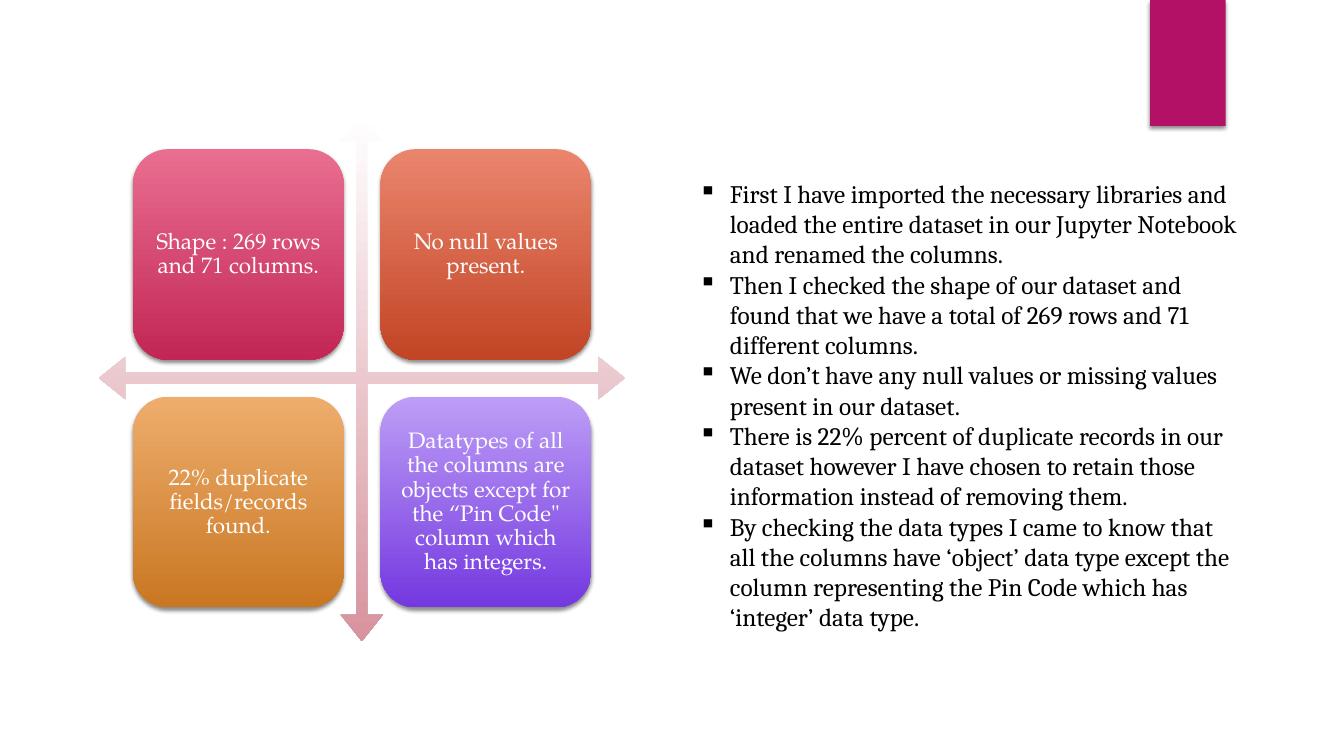
from dataclasses import dataclass

from lxml import etree
from pptx import Presentation
from pptx import util as u
from pptx.dml.color import RGBColor
from pptx.enum import shapes, text
from pptx.oxml.ns import qn


@dataclass(frozen=True)
class Theme:
    accent: str = "B31166"
    arrow: tuple = ("FFFFFF", "D7939E")
    tile_text: str = "FFFFFF"
    body_text: str = "000000"
    shadow: str = "000000"
    tile_font: str = "TeX Gyre Pagella"
    body_font: str = "Cambria"
    tile_size: int = 16
    body_size: int = 18


TILES = [
    [("Shape : 269 rows and 71 columns.", ("E96E90", "C22655")),
     ("No null values present.", ("EA856D", "C24525"))],
    [("22% duplicate fields/records found.", ("EEAD6D", "C97721")),
     ("Datatypes of all the columns are objects except for the “Pin Code\" "
      "column which has integers.", ("BD9EF6", "7438E0"))],
]

FINDINGS = [
    "First I have imported the necessary libraries and loaded the entire dataset "
    "in our Jupyter Notebook and renamed the columns.",
    "Then I checked the shape of our dataset and found that we have a total of "
    "269 rows and 71 different columns.",
    "We don’t have any null values or missing values present in our dataset.",
    "There is 22% percent of duplicate records in our dataset however I have "
    "chosen to retain those information instead of removing them.",
    "By checking the data types I came to know that all the columns have ‘object’ "
    "data type except the column representing the Pin Code which has ‘integer’ "
    "data type.",
]


class SlideBuilder:
    """Draws themed elements on a slide grid of 80 columns by 45 rows."""

    def __init__(self, presentation, theme):
        self.theme = theme
        self.slide = presentation.slides.add_slide(presentation.slide_layouts[6])
        self.column = presentation.slide_width / 80
        self.row = presentation.slide_height / 45

    def place(self, left, top, width, height):
        return (round(left * self.column), round(top * self.row),
                round(width * self.column), round(height * self.row))

    def shape(self, kind, box, colors, shadow=True):
        shape = self.slide.shapes.add_shape(kind, *self.place(*box))
        if len(colors) == 1:
            shape.fill.solid()
            shape.fill.fore_color.rgb = RGBColor.from_string(colors[0])
        else:
            shape.fill.gradient()
            shape.fill.gradient_angle = 270
            for stop, color in zip(shape.fill.gradient_stops, colors):
                stop.color.rgb = RGBColor.from_string(color)
        shape.line.fill.background()
        shape.shadow.inherit = False
        if shadow:
            self.add_shadow(shape)
        return shape

    def add_shadow(self, shape):
        effects = shape.element.spPr.find(qn("a:effectLst"))
        outer = etree.SubElement(
            effects, qn("a:outerShdw"), blurRad=str(u.Pt(3)), dist=str(u.Pt(2)),
            dir="5400000", rotWithShape="0")
        color = etree.SubElement(outer, qn("a:srgbClr"), val=self.theme.shadow)
        etree.SubElement(color, qn("a:alpha"), val="45000")

    def run(self, paragraph, words, font, size, color):
        run = paragraph.add_run()
        run.text = words
        run.font.name = font
        run.font.size = u.Pt(size)
        run.font.color.rgb = RGBColor.from_string(color)

    def cross_arrow(self, box):
        arrow = self.shape(shapes.MSO_SHAPE.QUAD_ARROW, box, self.theme.arrow,
                           shadow=False)
        for index, share in enumerate((0.02, 0.04, 0.05)):
            arrow.adjustments[index] = share

    def tile(self, box, words, colors):
        frame = self.shape(shapes.MSO_SHAPE.ROUNDED_RECTANGLE, box, colors).text_frame
        frame.word_wrap = True
        frame.vertical_anchor = text.MSO_ANCHOR.MIDDLE
        inset = round(0.42 * self.column)
        frame.margin_left = frame.margin_right = inset
        frame.margin_top = frame.margin_bottom = inset
        paragraph = frame.paragraphs[0]
        paragraph.alignment = text.PP_ALIGN.CENTER
        paragraph.line_spacing = 0.9
        self.run(paragraph, words, self.theme.tile_font, self.theme.tile_size,
                 self.theme.tile_text)

    def bullets(self, box, items):
        frame = self.slide.shapes.add_textbox(*self.place(*box)).text_frame
        frame.word_wrap = True
        frame.auto_size = text.MSO_AUTO_SIZE.SHAPE_TO_FIT_TEXT
        indent = round(1.86 * self.column)
        for index, item in enumerate(items):
            paragraph = frame.add_paragraph() if index else frame.paragraphs[0]
            properties = paragraph._p.get_or_add_pPr()
            properties.set("marL", str(indent))
            properties.set("indent", str(-indent))
            etree.SubElement(properties, qn("a:buChar"), char="▪")
            self.run(paragraph, item, self.theme.body_font, self.theme.body_size,
                     self.theme.body_text)


def main():
    presentation = Presentation()
    presentation.slide_width = u.Inches(13.33)
    presentation.slide_height = u.Inches(7.5)
    theme = Theme()
    builder = SlideBuilder(presentation, theme)

    builder.shape(shapes.MSO_SHAPE.RECTANGLE, (68.46, 0, 4.5, 7.5), (theme.accent,))
    builder.cross_arrow((5.88, 6.84, 31.32, 31.32))
    side, pitch = 12.54, 14.73
    for row, tiles in enumerate(TILES):
        for column, (words, colors) in enumerate(tiles):
            box = (7.92 + column * pitch, 8.88 + row * pitch, side, side)
            builder.tile(box, words, colors)
    builder.bullets((41, 10.32, 33.48, 27.84), FINDINGS)

    presentation.save("out.pptx")


if __name__ == "__main__":
    main()
